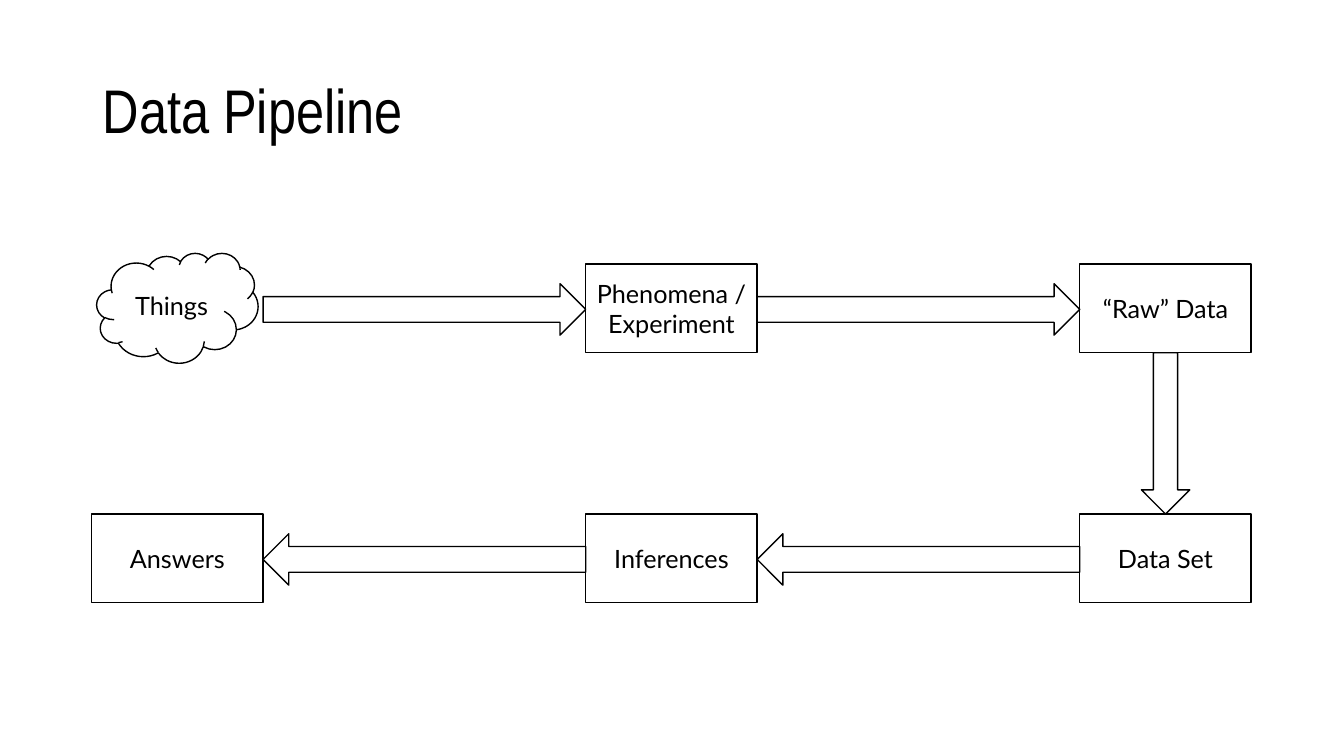
import pptx
import pptx.util
import pptx.dml.color
import pptx.enum.shapes
import pptx.enum.text

Inches = pptx.util.Inches
Kind = pptx.enum.shapes.MSO_SHAPE
Align = pptx.enum.text.PP_ALIGN
Anchor = pptx.enum.text.MSO_ANCHOR

INK = "000000"
PAPER = "FFFFFF"
BOX_W, BOX_H = 1.7, 0.88
ARROW_H = 0.51


def color(code):
    return pptx.dml.color.RGBColor.from_string(code)


def write(shape, text, size=18, font="Lato", ink=INK, align=Align.CENTER, space=1.0):
    frame = shape.text_frame
    frame.word_wrap = True
    frame.vertical_anchor = Anchor.MIDDLE
    line = frame.paragraphs[0]
    line.alignment = align
    line.line_spacing = space
    run = line.add_run()
    run.text = text
    run.font.size = pptx.util.Pt(size)
    run.font.name = font
    run.font.color.rgb = color(ink)


def draw(slide, kind, left, top, width, height, text=None):
    shape = slide.shapes.add_shape(
        kind, Inches(left), Inches(top), Inches(width), Inches(height))
    shape.shadow.inherit = False
    shape.fill.solid()
    shape.fill.fore_color.rgb = color(PAPER)
    shape.line.color.rgb = color(INK)
    shape.line.width = pptx.util.Pt(1)
    if text:
        write(shape, text)


def add_title(slide, left, top, width, height):
    box = slide.shapes.add_textbox(
        Inches(left), Inches(top), Inches(width), Inches(height))
    write(box, "Data Pipeline", size=44, font="Arial Narrow",
          align=Align.LEFT, space=0.9)


def add_flow(slide, left, top, width, height):
    step = (width - BOX_W) / 2
    cols = [left + step * i for i in range(3)]
    low = top + height - BOX_H
    gap = step - BOX_W

    draw(slide, Kind.CLOUD, left + 0.05, top - 0.11, 1.6, 1.09, "Things")
    rows = [
        (top, ["", "Phenomena / Experiment", "“Raw” Data"], Kind.RIGHT_ARROW),
        (low, ["Answers", "Inferences", "Data Set"], Kind.LEFT_ARROW),
    ]
    for y, names, arrow in rows:
        for x, name in zip(cols, names):
            if name:
                draw(slide, Kind.RECTANGLE, x, y, BOX_W, BOX_H, name)
        for x in cols[:2]:
            draw(slide, arrow, x + BOX_W, y + (BOX_H - ARROW_H) / 2 + 0.01,
                 gap, ARROW_H)

    stem = 0.48
    draw(slide, Kind.DOWN_ARROW, cols[2] + (BOX_W - stem) / 2, top + BOX_H,
         stem, height - 2 * BOX_H)


def main():
    deck = pptx.Presentation()
    deck.slide_width = Inches(13.33)
    deck.slide_height = Inches(7.5)
    slide = deck.slides.add_slide(deck.slide_layouts[6])
    add_flow(slide, 0.91, 2.62, 11.5, 3.36)
    add_title(slide, 0.92, 0.4, 11.5, 1.45)
    deck.save("out.pptx")


if __name__ == "__main__":
    main()
